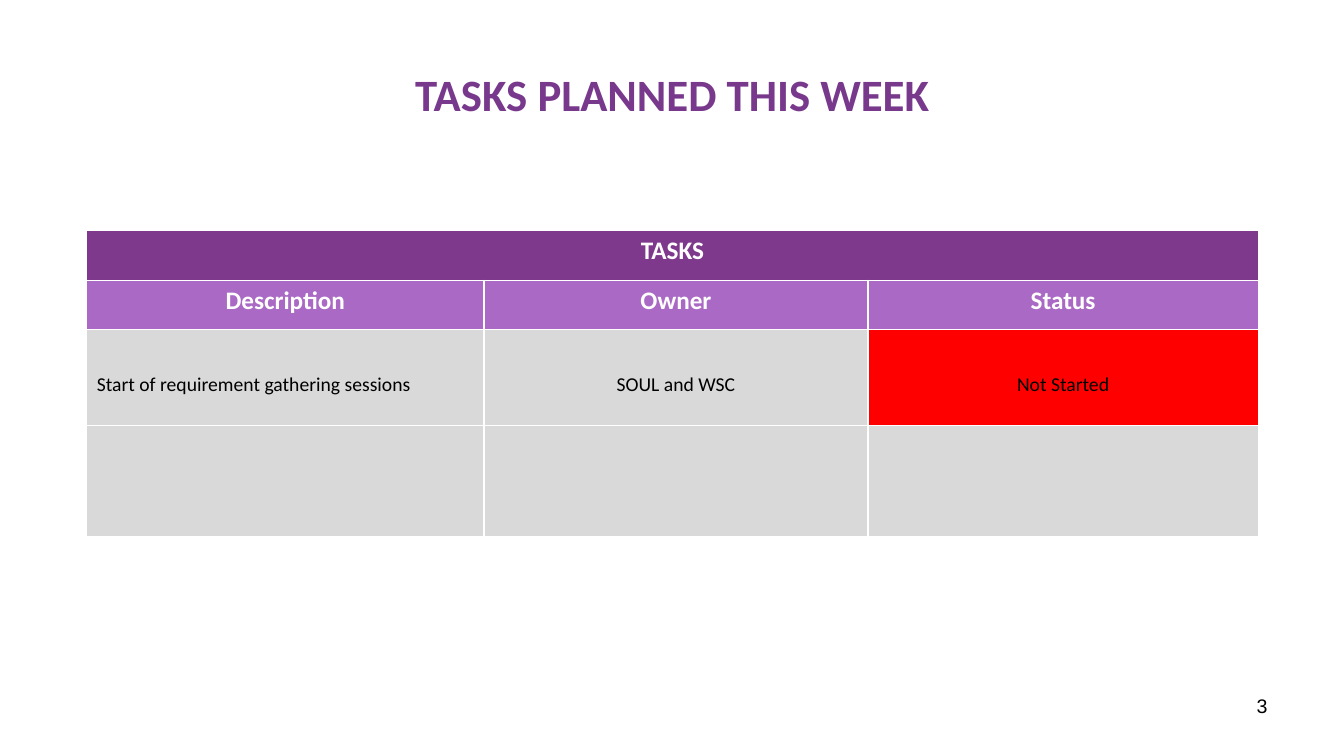
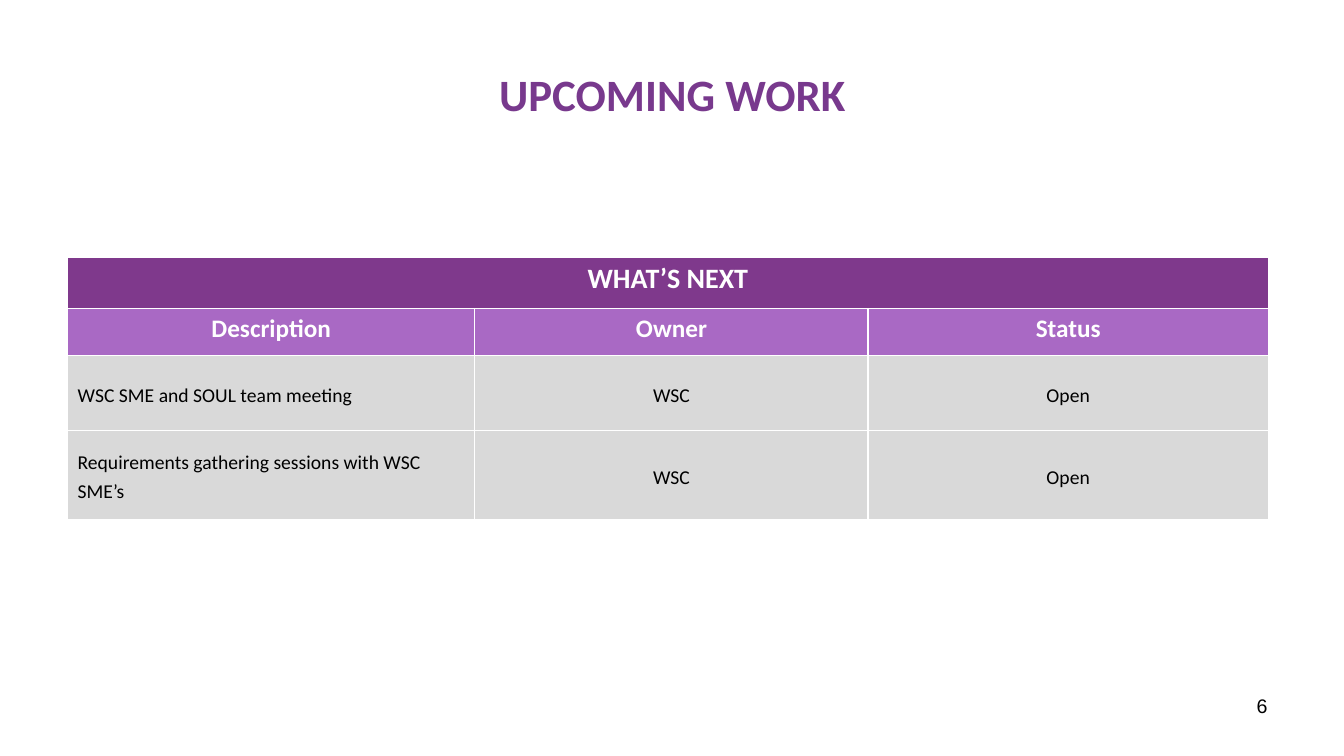
from pptx import Presentation
from pptx.dml.color import RGBColor
from pptx.enum.text import MSO_ANCHOR as ANCHOR, PP_ALIGN as ALIGN
from pptx.oxml import parse_xml
from pptx.oxml.ns import nsdecls
from pptx.util import Inches, Pt

COLORS = {
    "title": "78398D", "band": "7F398C", "header": "A969C4",
    "body": "D9D9D9", "alert": "FF0000", "white": "FFFFFF", "black": "000000",
}
HEADERS = ["Description", "Owner", "Status"]
TITLE_BOX = (0.67, 0.3, 12, 1.25)
NUMBER_BOX = (9.56, 6.83, 3.11, 0.52)
TITLE_FONT = {"name": "Calibri", "size": Pt(32), "bold": True}
NUMBER_FONT = {"name": "Arial", "size": Pt(14)}
HEADER_FONT = {"name": "Calibri", "size": Pt(18), "bold": True}
BODY_FONT = {"name": "Calibri", "size": Pt(14), "bold": False}

SLIDES = [
    {
        "title": "TASKS PLANNED THIS WEEK", "number": 3, "band": "TASKS",
        "at": (0.86, 2.29), "cols": [3.94, 3.81, 3.87],
        "rows": [0.49, 0.49, 0.95, 1.1], "band_size": 18, "spacing": 1.6,
        "tasks": [["Start of requirement gathering sessions", "SOUL and WSC", "Not Started"],
                  ["", "", ""]],
    },
    {
        "title": "UPCOMING WORK", "number": 6, "band": "WHAT’S NEXT",
        "at": (0.67, 2.55), "cols": [4.04, 3.9, 3.97],
        "rows": [0.51, 0.47, 0.74, 0.89], "band_size": 20, "spacing": 1.2,
        "tasks": [["WSC SME and SOUL team meeting", "WSC", "Open"],
                  ["Requirements gathering sessions with WSC SME’s", "WSC", "Open"]],
    },
]


def write(tf, text, font, color, align, spacing=None):
    """Write one formatted paragraph into a text frame."""
    p = tf.paragraphs[0]
    p.alignment = align
    if spacing:
        p.line_spacing = spacing
    target = p.font
    if text:
        r = p.add_run()
        r.text = text
        target = r.font
    for key, value in font.items():
        setattr(target, key, value)
    target.color.rgb = RGBColor.from_string(COLORS[color])


def add_text(s, box, text, font, color, align, anchor):
    """Add a wrapping text box in the given box."""
    tf = s.shapes.add_textbox(*map(Inches, box)).text_frame
    tf.word_wrap = True
    tf.vertical_anchor = anchor
    write(tf, text, font, color, align)


def style_cell(cell, fill):
    """Give a cell thin white borders and a solid fill."""
    tc_pr = cell._tc.get_or_add_tcPr()
    for side in ("lnL", "lnR", "lnT", "lnB"):
        tc_pr.append(parse_xml(
            f'<a:{side} {nsdecls("a")} w="12700"><a:solidFill>'
            f'<a:srgbClr val="{COLORS["white"]}"/></a:solidFill></a:{side}>'))
    cell.fill.solid()
    cell.fill.fore_color.rgb = RGBColor.from_string(COLORS[fill])


def add_task_table(s, at, cols, rows, band, band_size, tasks, spacing):
    """Add a task table with a title band and a header row."""
    box = (*at, sum(cols), sum(rows))
    table = s.shapes.add_table(len(rows), len(cols), *map(Inches, box)).table
    for col, width in zip(table.columns, cols):
        col.width = Inches(width)
    for row, height in zip(table.rows, rows):
        row.height = Inches(height)

    for cell in table.rows[0].cells:
        style_cell(cell, "band")
    table.cell(0, 0).merge(table.cell(0, len(cols) - 1))
    write(table.cell(0, 0).text_frame, band, {**HEADER_FONT, "size": Pt(band_size)},
          "white", ALIGN.CENTER)

    for cell, text in zip(table.rows[1].cells, HEADERS):
        style_cell(cell, "header")
        write(cell.text_frame, text, HEADER_FONT, "white", ALIGN.CENTER)

    for i, task in enumerate(tasks, start=2):
        for j, text in enumerate(task):
            cell = table.cell(i, j)
            style_cell(cell, "alert" if text == "Not Started" else "body")
            cell.vertical_anchor = ANCHOR.MIDDLE
            write(cell.text_frame, text, BODY_FONT, "black",
                  ALIGN.CENTER if j else ALIGN.LEFT, spacing)


def add_task_slide(prs, title, number, **table):
    """Add a slide with a title, a task table and a slide number."""
    s = prs.slides.add_slide(prs.slide_layouts[6])
    add_text(s, TITLE_BOX, title, TITLE_FONT, "title", ALIGN.CENTER, ANCHOR.MIDDLE)
    add_task_table(s, **table)
    add_text(s, NUMBER_BOX, str(number), NUMBER_FONT, "black", ALIGN.RIGHT, ANCHOR.TOP)


def main():
    """Build and save the presentation."""
    prs = Presentation()
    prs.slide_width, prs.slide_height = Inches(13.33), Inches(7.5)
    for slide in SLIDES:
        add_task_slide(prs, **slide)
    prs.save("out.pptx")


if __name__ == "__main__":
    main()
